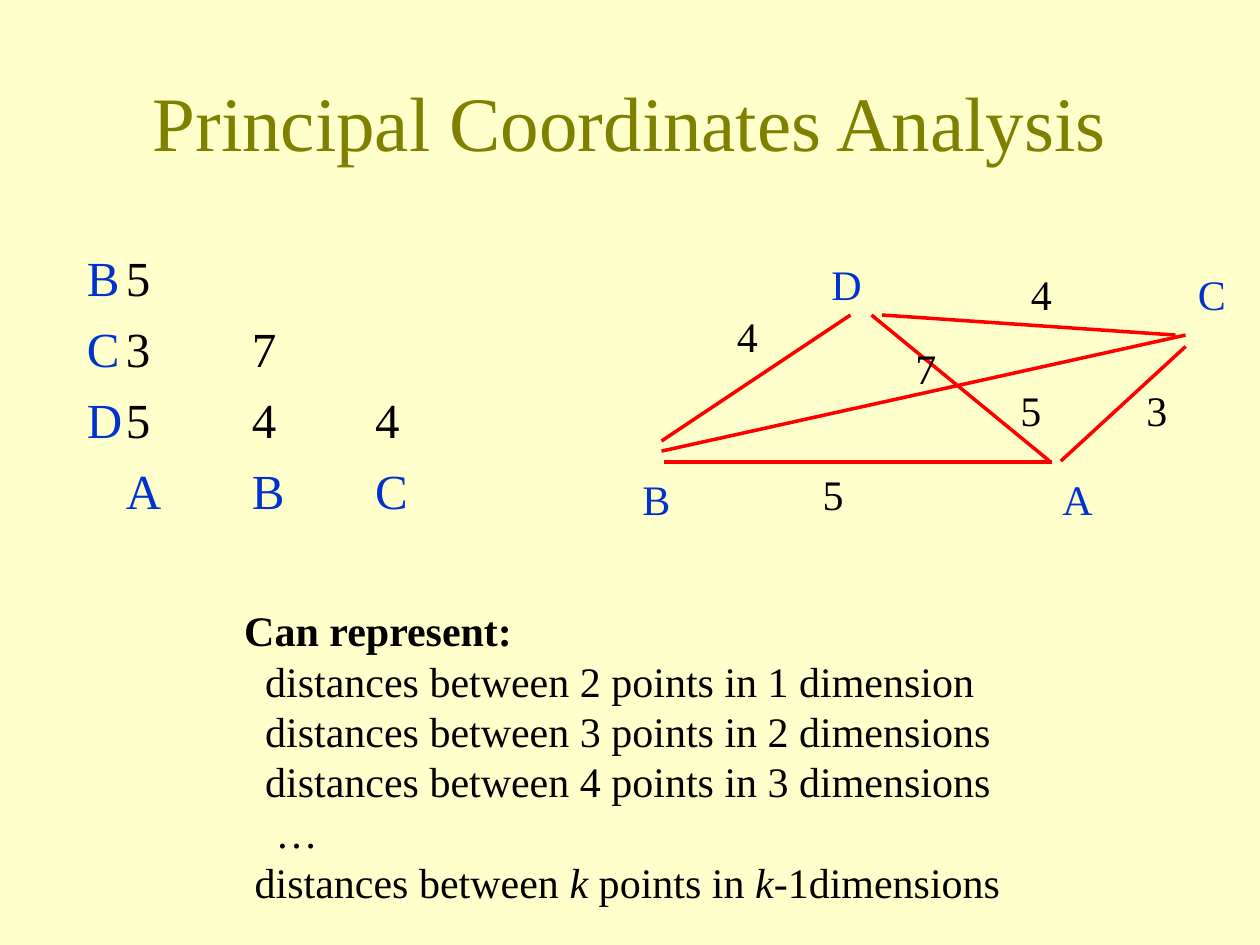
import pptx
import pptx.util
import pptx.dml.color
import pptx.enum.shapes
import pptx.enum.text
from lxml import etree

Pt = pptx.util.Pt
FONT = "Times New Roman"
COLORS = {"background": "FFFFCC", "title": "808000", "point": "0033CC",
          "text": "000000", "edge": "FF0000"}
DRAWING = "{http://schemas.openxmlformats.org/drawingml/2006/main}"


def color(name):
    return pptx.dml.color.RGBColor.from_string(COLORS[name])


def style(span, size, name):
    span.font.name = FONT
    span.font.size = Pt(size)
    span.font.color.rgb = color(name)


deck = pptx.Presentation()
deck.slide_width, deck.slide_height = Pt(720), Pt(540)
page = deck.slides.add_slide(deck.slide_layouts[5])
page.background.fill.solid()
page.background.fill.fore_color.rgb = color("background")

# Title
title = page.shapes.title
title.left, title.top, title.width, title.height = Pt(54), Pt(24), Pt(612), Pt(90)
title.text_frame.text = "Principal Coordinates Analysis"
title.text_frame.vertical_anchor = pptx.enum.text.MSO_ANCHOR.MIDDLE
title.text_frame.paragraphs[0].alignment = pptx.enum.text.PP_ALIGN.CENTER
style(title.text_frame.paragraphs[0].runs[0], 44, "title")

# Distance matrix: row name in a hanging indent, then one column per inch
matrix_rows = [("B\t", "5"), ("C\t", "3\t7"), ("D\t", "5\t4\t4"), ("\tA\tB\tC", "")]
box = page.shapes.add_textbox(Pt(0), Pt(138), Pt(264), Pt(175))
box.text_frame.word_wrap = True
for index, (names, distances) in enumerate(matrix_rows):
    para = box.text_frame.paragraphs[0] if index == 0 else box.text_frame.add_paragraph()
    para.space_before = Pt(7 if index else 0)
    properties = para._p.get_or_add_pPr()
    properties.set("marL", str(Pt(64.8)))
    properties.set("indent", str(Pt(-22.3)))
    properties.set("defTabSz", str(Pt(72)))
    for text, name in ((names, "point"), (distances, "text")):
        if text:
            span = para.add_run()
            span.text = text
            style(span, 28, name)

# Edges between the four points
edges = [
    (379.5, 264, 601.2, 264),    # B-A
    (378, 257.8, 677.5, 191.5),  # B-C
    (606.2, 263.5, 677.5, 198),  # A-C
    (378, 252, 486, 180),        # B-D
    (504, 180, 671.8, 191.5),    # D-C
    (498, 180, 599.8, 263.5),    # D-A
]
for ends in edges:
    edge = page.shapes.add_connector(
        pptx.enum.shapes.MSO_CONNECTOR.STRAIGHT, *[Pt(value) for value in ends])
    edge.line.color.rgb = color("edge")
    edge.line.width = Pt(2)
    etree.SubElement(edge._element.spPr, DRAWING + "effectLst")

# Point names and edge lengths
labels = [
    ("A", 600, 267, 31.5, "point"), ("B", 360, 267, 30, "point"),
    ("C", 677.5, 150, 30, "point"), ("D", 468, 144, 31.5, "point"),
    ("5", 463, 264, 26, "text"), ("3", 648, 216, 26, "text"),
    ("7", 516, 192, 26, "text"), ("5", 576, 216, 26, "text"),
    ("4", 414, 174, 26, "text"), ("4", 582, 150, 26, "text"),
]
for text, left, top, width, name in labels:
    box = page.shapes.add_textbox(Pt(left), Pt(top), Pt(width), Pt(36))
    box.text_frame.word_wrap = False
    box.text_frame.text = text
    style(box.text_frame.paragraphs[0].runs[0], 24, name)

# What can be represented: indent, then spans with alternate ones in italics
statements = [
    (0, ["Can represent:"]),
    (12, ["distances between 2 points in 1 dimension"]),
    (12, ["distances between 3 points in 2 dimensions"]),
    (12, ["distances between 4 points in 3 dimensions"]),
    (18, ["…"]),
    (6, ["distances between ", "k", " points in ", "k", "-1dimensions"]),
]
box = page.shapes.add_textbox(Pt(132.5), Pt(342), Pt(460), Pt(182))
box.text_frame.word_wrap = True
for index, (indent, parts) in enumerate(statements):
    para = box.text_frame.paragraphs[0] if index == 0 else box.text_frame.add_paragraph()
    para._p.get_or_add_pPr().set("marL", str(Pt(indent)))
    for position, text in enumerate(parts):
        span = para.add_run()
        span.text = text
        style(span, 24, "text")
        span.font.bold = index == 0
        span.font.italic = position % 2 == 1

deck.save("out.pptx")
